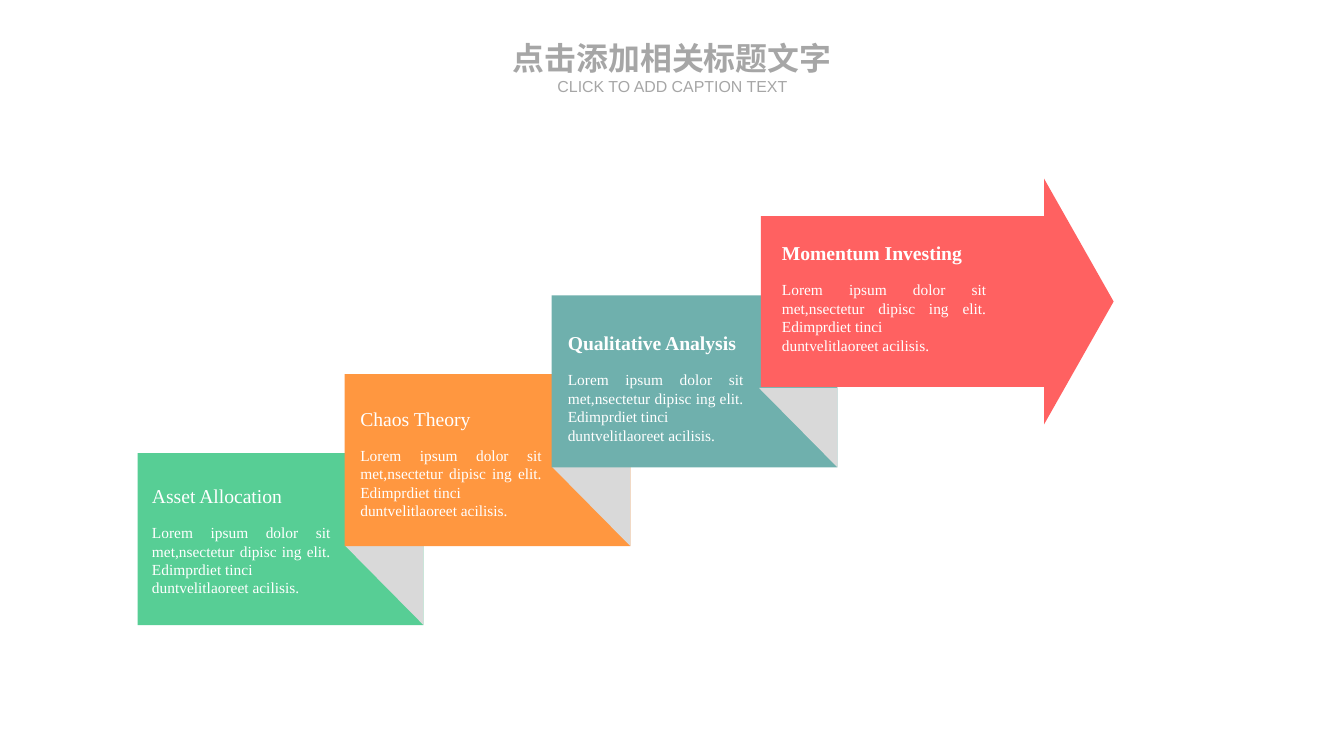
from pptx import Presentation
from pptx.dml.color import RGBColor
from pptx.enum.shapes import MSO_SHAPE
from pptx.enum.text import MSO_ANCHOR, PP_ALIGN
from pptx.util import Inches, Pt

COLORS = {
    "green": "57CE95",
    "orange": "FF9740",
    "teal": "6FB0AD",
    "red": "FF6161",
    "fold": "D9D9D9",
    "title": "A6A6A6",
    "white": "FFFFFF",
}
BODY = [
    "Lorem ipsum dolor sit met,nsectetur dipisc ing elit. Edimprdiet tinci",
    "duntvelitlaoreet acilisis.",
]
STEP_COLORS = ["green", "orange", "teal"]
LABELS = [
    ("Asset Allocation", False, 1.59, 5.47, 1.87),
    ("Chaos Theory", False, 3.77, 4.66, 1.9),
    ("Qualitative Analysis", True, 5.94, 3.87, 1.84),
    ("Momentum Investing", True, 8.18, 2.93, 2.14),
]
FIRST_LEFT, FIRST_TOP = 1.44, 4.74
STEP_RIGHT, STEP_UP = 2.165, 0.825
STEP_WIDTH, STEP_HEIGHT = 2.99, 1.8
FOLD_WIDTH, FOLD_HEIGHT = 0.82, 0.83


def paint(shape, color):
    """Give a shape a flat fill without outline or shadow."""
    shape.shadow.inherit = False
    shape.fill.solid()
    shape.fill.fore_color.rgb = RGBColor.from_string(COLORS[color])
    shape.line.fill.background()


def add_block(page, kind, left, top, width, height, color):
    """Add a flat preset shape."""
    block = page.shapes.add_shape(
        kind, Inches(left), Inches(top), Inches(width), Inches(height)
    )
    paint(block, color)
    return block


def add_fold(page, right, bottom):
    """Add the grey triangle that fills a step's lower right corner."""
    left, top = Inches(right - FOLD_WIDTH), Inches(bottom - FOLD_HEIGHT)
    outline = page.shapes.build_freeform(left, top)
    outline.add_line_segments(
        [(Inches(right), top), (Inches(right), Inches(bottom))], close=True
    )
    paint(outline.convert_to_shape(), "fold")


def add_text(page, lines, left, top, width, height, size, color="white",
             font="Times New Roman", bold=False, align=PP_ALIGN.LEFT):
    """Add a text box without margins, one paragraph per line."""
    box = page.shapes.add_textbox(
        Inches(left), Inches(top), Inches(width), Inches(height)
    )
    frame = box.text_frame
    frame.word_wrap = True
    frame.vertical_anchor = MSO_ANCHOR.MIDDLE
    frame.margin_left = frame.margin_right = 0
    frame.margin_top = frame.margin_bottom = 0
    frame.text = "\n".join(lines)
    for para in frame.paragraphs:
        para.alignment = align
        for span in para.runs:
            span.font.name = font
            span.font.size = Pt(size)
            span.font.bold = bold
            span.font.color.rgb = RGBColor.from_string(COLORS[color])


def add_step(page, index, color):
    """Add one stair step with its folded corner."""
    left = FIRST_LEFT + index * STEP_RIGHT
    top = FIRST_TOP - index * STEP_UP
    add_block(page, MSO_SHAPE.RECTANGLE, left, top, STEP_WIDTH, STEP_HEIGHT, color)
    add_fold(page, left + STEP_WIDTH, top + STEP_HEIGHT)


def add_label(page, heading, bold, left, top, width):
    """Add a heading and the justified text below it."""
    add_text(page, BODY, left, top, width, 0.78, 11.6, align=PP_ALIGN.JUSTIFY)
    add_text(page, [heading], left, top - 0.46, 2.04, 0.35, 14.8, bold=bold)


def main():
    """Build the slide and save it."""
    deck = Presentation()
    deck.slide_width, deck.slide_height = Inches(14.06), Inches(7.91)
    page = deck.slides.add_slide(deck.slide_layouts[6])
    for index, color in enumerate(STEP_COLORS):
        add_step(page, index, color)
    arrow = add_block(page, MSO_SHAPE.RIGHT_ARROW, 7.96, 1.87, 3.69, 2.57, "red")
    arrow.adjustments[0] = 0.695
    arrow.adjustments[1] = 0.283
    for label in LABELS:
        add_label(page, *label)
    add_text(page, ["点击添加相关标题文字"], 5.27, 0.4, 3.52, 0.4, 24,
             "title", "Arial", True, PP_ALIGN.CENTER)
    add_text(page, ["CLICK TO ADD CAPTION TEXT"], 5.59, 0.8, 2.89, 0.2, 12,
             "title", "Arial", align=PP_ALIGN.CENTER)
    deck.save("out.pptx")


if __name__ == "__main__":
    main()
